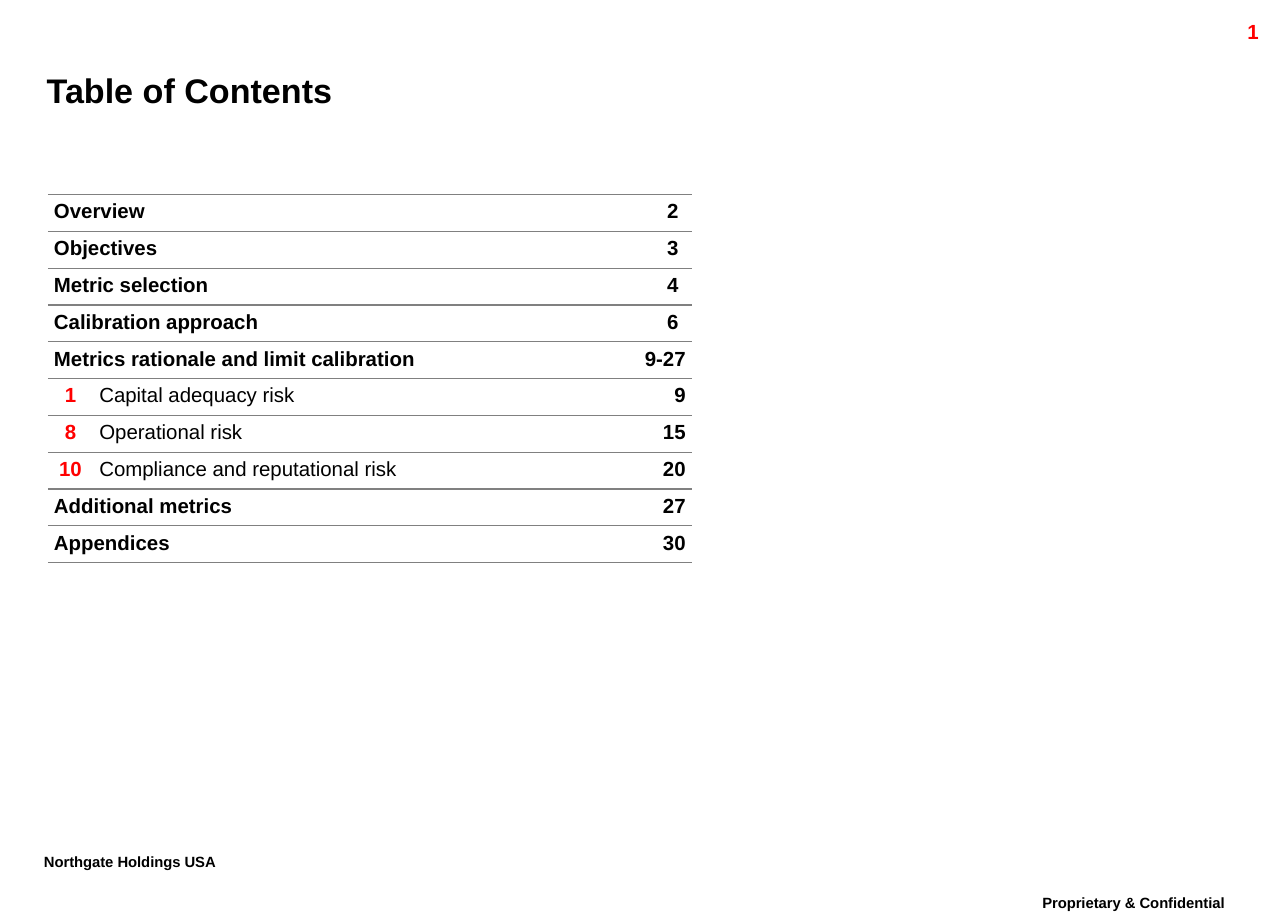
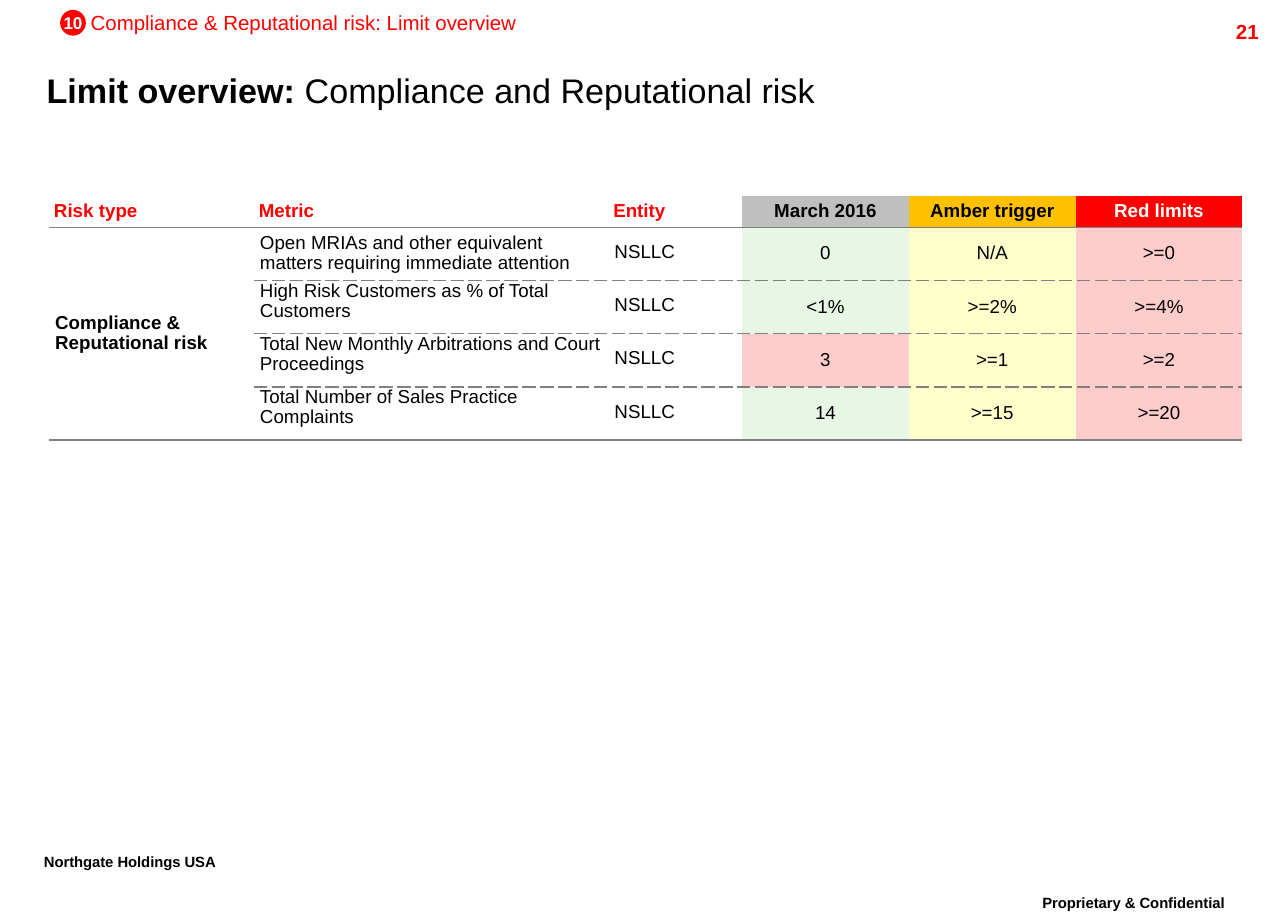
from dataclasses import dataclass, replace
from typing import Any, Optional

from lxml.etree import SubElement
from pptx import Presentation
from pptx.dml.color import RGBColor
from pptx.enum.shapes import MSO_SHAPE
from pptx.enum.text import MSO_ANCHOR as Anchor, MSO_AUTO_SIZE as AutoSize, PP_ALIGN as Align
from pptx.oxml.ns import qn
from pptx.util import Pt

BLACK = RGBColor(0x00, 0x00, 0x00)
WHITE = RGBColor(0xFF, 0xFF, 0xFF)
RED = RGBColor(0xFF, 0x00, 0x00)
AMBER = RGBColor(0xFF, 0xC0, 0x00)
SILVER = RGBColor(0xBF, 0xBF, 0xBF)
PALE_GREEN = RGBColor(0xE8, 0xF6, 0xE6)
PALE_YELLOW = RGBColor(0xFF, 0xFF, 0xCC)
PALE_RED = RGBColor(0xFF, 0xCC, 0xCC)
RULE_GREY = RGBColor(0x80, 0x80, 0x80)
FONT = "Arial"
PLAIN_TABLE_STYLE = "{2D5ABB26-0587-4C30-8999-92F81FD0307C}"
TITLE_ONLY = 5
SIDES = ("left", "top", "right", "bottom")


@dataclass(frozen=True)
class Span:
    text: str
    size: float = 12
    color: RGBColor = BLACK
    bold: bool = True
    raised: bool = False


@dataclass(frozen=True)
class Box:
    left: float
    top: float
    width: float
    height: float
    margins: tuple[float, float, float, float] = (7.2, 3.6, 7.2, 3.6)
    align: Align = Align.LEFT
    anchor: Anchor = Anchor.TOP
    wrap: bool = True
    spacing: float = 1.0


@dataclass(frozen=True)
class Rule:
    width: float
    dash: str = "solid"


@dataclass(frozen=True)
class Cell:
    span: Span
    margins: tuple[float, float, float, float] = (3.6, 3.6, 3.6, 3.6)
    align: Align = Align.LEFT
    anchor: Anchor = Anchor.MIDDLE
    spacing: Any = 0.95
    fill: Optional[RGBColor] = None
    top: Optional[Rule] = None
    bottom: Optional[Rule] = None
    rows: int = 1
    columns: int = 1


@dataclass(frozen=True)
class Entry:
    label: str
    page: str
    number: str = ""
    inset: float = 3.6


@dataclass(frozen=True)
class Metric:
    name: str
    value: str
    amber: str
    red: str
    value_fill: RGBColor = PALE_GREEN


SOLID = Rule(1)
DASHED = Rule(1, "sysDash")
THIN = Rule(0.75)

NO_MARGINS = (0, 0, 0, 0)
TITLE_BOX = Box(27.4, 35.3, 682.6, 34.6, NO_MARGINS, anchor=Anchor.MIDDLE)
NUMBER_BOX = Box(673.9, 7.9, 72, 17.3, align=Align.RIGHT)
COMPANY_BOX = Box(18.7, 497.5, 137.5, 25.2, wrap=False, spacing=0.86)
NOTICE_BOX = Box(586.8, 522, 157, 25.2, align=Align.CENTER, spacing=0.86)
SECTION_BOX = Box(53.3, 5.8, 252, 14.4, NO_MARGINS, wrap=False)
BADGE_BOX = Box(35.3, 5.8, 15.1, 15.1, NO_MARGINS, Align.CENTER, Anchor.MIDDLE, False)

CONTENTS = (
    Entry("Overview", "2", inset=7.9),
    Entry("Objectives", "3", inset=7.9),
    Entry("Metric selection", "4", inset=7.9),
    Entry("Calibration approach", "6", inset=7.9),
    Entry("Metrics rationale and limit calibration", "9-27"),
    Entry("Capital adequacy risk", "9", "1"),
    Entry("Operational risk", "15", "8"),
    Entry("Compliance and reputational risk", "20", "10"),
    Entry("Additional metrics", "27"),
    Entry("Appendices", "30"),
)

HEADERS = (
    ("Risk type", RED, WHITE),
    ("Metric", RED, WHITE),
    ("Entity", RED, None),
    ("March 2016", BLACK, SILVER),
    ("Amber trigger", BLACK, AMBER),
    ("Red limits", WHITE, RED),
)
FIRST_LIMIT_COLUMN = 3

METRICS = (
    Metric("Open MRIAs and other equivalent matters requiring immediate attention", "0", "N/A", ">=0"),
    Metric("High Risk Customers as % of Total Customers", "<1%", ">=2%", ">=4%"),
    Metric("Total New Monthly Arbitrations and Court Proceedings", "3", ">=1", ">=2", PALE_RED),
    Metric("Total Number of Sales Practice Complaints", "14", ">=15", ">=20"),
)


def set_all(target: Any, values: dict[str, Any]) -> None:
    for name, value in values.items():
        setattr(target, name, value)


def add_span(para: Any, span: Span) -> None:
    run = para.add_run()
    run.text = span.text
    set_all(run.font, {"name": FONT, "size": Pt(span.size), "bold": span.bold})
    run.font.color.rgb = span.color
    if span.raised:
        run.font._element.set("baseline", "30000")


def fill_frame(shape: Any, box: Box, *spans: Span) -> None:
    set_all(shape, dict(zip(("left", "top", "width", "height"),
                            map(Pt, (box.left, box.top, box.width, box.height)))))
    frame = shape.text_frame
    set_all(frame, {"auto_size": AutoSize.NONE, "word_wrap": box.wrap, "vertical_anchor": box.anchor})
    set_all(frame, {f"margin_{side}": Pt(gap) for side, gap in zip(SIDES, box.margins)})
    para = frame.paragraphs[0]
    set_all(para, {"alignment": box.align, "line_spacing": box.spacing})
    for span in spans:
        add_span(para, span)


def add_text(shapes: Any, box: Box, span: Span) -> None:
    fill_frame(shapes.add_textbox(0, 0, 0, 0), box, span)


def add_page(deck: Any, number: str, *title: Span) -> Any:
    page = deck.slides.add_slide(deck.slide_layouts[TITLE_ONLY])
    fill_frame(page.shapes.title, TITLE_BOX, *title)
    footer = Span("", 15, raised=True)
    add_text(page.shapes, NOTICE_BOX, replace(footer, text="Proprietary & Confidential"))
    add_text(page.shapes, COMPANY_BOX, replace(footer, text="Northgate Holdings USA"))
    add_text(page.shapes, NUMBER_BOX, Span(number, color=RED))
    return page


def draw_rule(cell: Any, tag: str, rule: Optional[Rule]) -> None:
    if rule is None:
        return
    line = SubElement(cell._tc.get_or_add_tcPr(), qn(tag), w=str(Pt(rule.width)))
    color = SubElement(SubElement(line, qn("a:solidFill")), qn("a:srgbClr"))
    color.set("val", str(RULE_GREY))
    SubElement(line, qn("a:prstDash"), val=rule.dash)


def format_cell(target: Any, cell: Cell) -> None:
    draw_rule(target, "a:lnT", cell.top)
    draw_rule(target, "a:lnB", cell.bottom)
    if cell.fill is None:
        target.fill.background()
    else:
        target.fill.solid()
        target.fill.fore_color.rgb = cell.fill
    set_all(target, {f"margin_{side}": Pt(gap) for side, gap in zip(SIDES, cell.margins)})
    target.vertical_anchor = cell.anchor
    para = target.text_frame.paragraphs[0]
    set_all(para, {"alignment": cell.align, "line_spacing": cell.spacing})
    add_span(para, cell.span)


def add_grid(page: Any, left: float, top: float, widths: tuple[float, ...],
             heights: tuple[float, ...], cells: dict[tuple[int, int], Cell]) -> None:
    table = page.shapes.add_table(len(heights), len(widths), Pt(left), Pt(top),
                                  Pt(sum(widths)), Pt(sum(heights))).table
    set_all(table, {"first_row": False, "horz_banding": False})
    table._tbl.tblPr.find(qn("a:tableStyleId")).text = PLAIN_TABLE_STYLE
    for column, width in zip(table.columns, widths):
        column.width = Pt(width)
    for row, height in zip(table.rows, heights):
        row.height = Pt(height)
    for (row, column), cell in cells.items():
        target = table.cell(row, column)
        format_cell(target, cell)
        if cell.rows * cell.columns > 1:
            target.merge(table.cell(row + cell.rows - 1, column + cell.columns - 1))


def contents_cells() -> dict[tuple[int, int], Cell]:
    cells = {}
    base = Cell(Span(""), spacing=0.86, top=THIN, bottom=THIN)
    for row, entry in enumerate(CONTENTS):
        if entry.number:
            cells[row, 0] = replace(base, span=Span(entry.number, color=RED), align=Align.CENTER)
            cells[row, 1] = replace(base, span=Span(entry.label, bold=False))
        else:
            cells[row, 0] = replace(base, span=Span(entry.label), columns=2)
        cells[row, 2] = replace(base, span=Span(entry.page), align=Align.RIGHT,
                                margins=(entry.inset, 3.6, entry.inset, 3.6))
    return cells


def limit_cells() -> dict[tuple[int, int], Cell]:
    cells = {}
    for column, (label, color, fill) in enumerate(HEADERS):
        align = Align.CENTER if column >= FIRST_LIMIT_COLUMN else Align.LEFT
        cells[0, column] = Cell(Span(label, 11, color), (2.9,) * 4, align, fill=fill, bottom=SOLID)
    cells[1, 0] = Cell(Span("Compliance & Reputational risk", 11), top=SOLID, bottom=SOLID,
                       rows=len(METRICS))
    for row, metric in enumerate(METRICS, 1):
        base = Cell(Span("", 11, bold=False), top=SOLID if row == 1 else DASHED,
                    bottom=SOLID if row == len(METRICS) else DASHED)
        cells[row, 1] = replace(base, span=replace(base.span, text=metric.name), anchor=Anchor.TOP,
                                margins=base.margins if row == 1 else (3.6, 0.7, 0.7, 0))
        cells[row, 2] = replace(base, span=replace(base.span, text="NSLLC"),
                                spacing=Pt(10), fill=WHITE)
        limits = ((metric.value, metric.value_fill), (metric.amber, PALE_YELLOW), (metric.red, PALE_RED))
        for column, (text, fill) in enumerate(limits, FIRST_LIMIT_COLUMN):
            cells[row, column] = replace(base, span=replace(base.span, text=text),
                                         align=Align.CENTER, fill=fill)
    return cells


def add_section_label(page: Any, number: str, label: str) -> None:
    group = page.shapes.add_group_shape()
    add_text(group.shapes, SECTION_BOX, Span(label, color=RED, bold=False))
    badge = group.shapes.add_shape(MSO_SHAPE.OVAL, 0, 0, 0, 0)
    badge.shadow.inherit = False
    badge.fill.solid()
    badge.fill.fore_color.rgb = RED
    badge.line.fill.background()
    fill_frame(badge, BADGE_BOX, Span(number, 10, WHITE))


def main() -> None:
    deck = Presentation()
    set_all(deck, {"slide_width": Pt(756), "slide_height": Pt(540)})

    contents = add_page(deck, "1", Span("Table of Contents", 20))
    add_grid(contents, 28.1, 114.2, (26.6, 279.4, 72), (21.6,) * len(CONTENTS), contents_cells())

    overview = add_page(deck, "21", Span("Limit overview: ", 20),
                        Span("Compliance and Reputational risk", 20, bold=False))
    add_grid(overview, 28.8, 115.2, (120.2, 208.1, 78.5, 97.9, 97.9, 97.9),
             (18.2,) + (31.25,) * len(METRICS), limit_cells())
    add_section_label(overview, "10", "Compliance & Reputational risk: Limit overview")

    deck.save("out.pptx")


if __name__ == "__main__":
    main()
